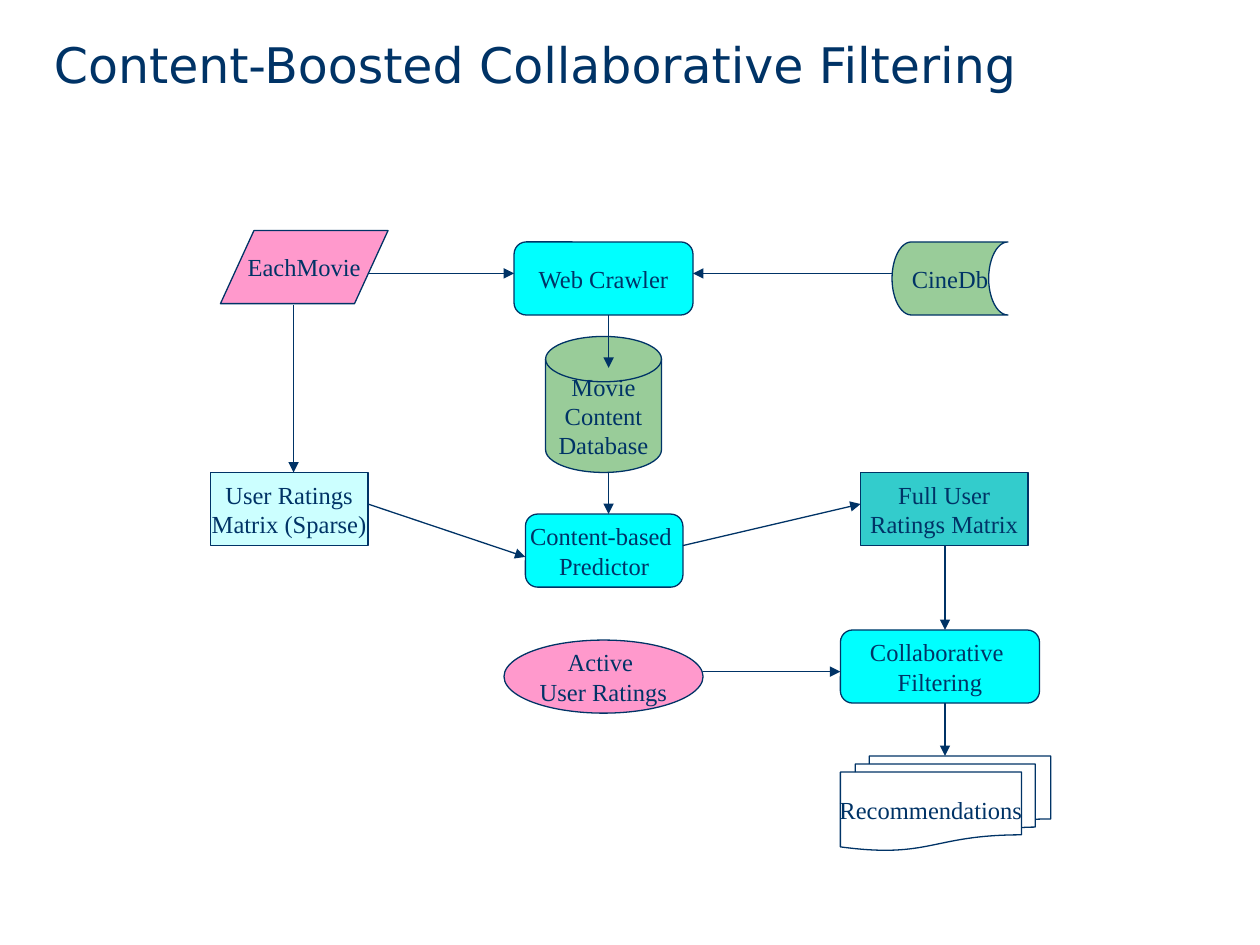
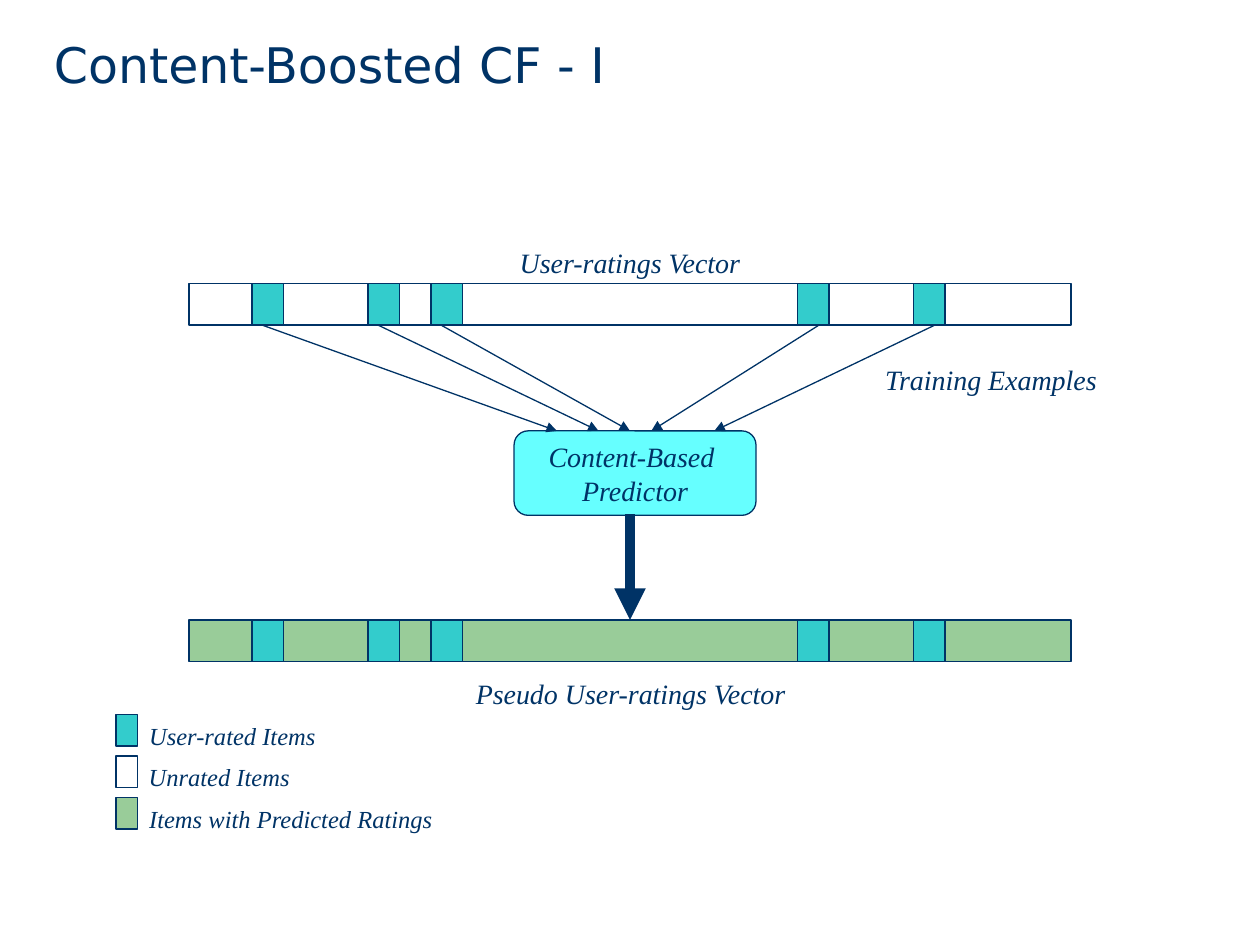
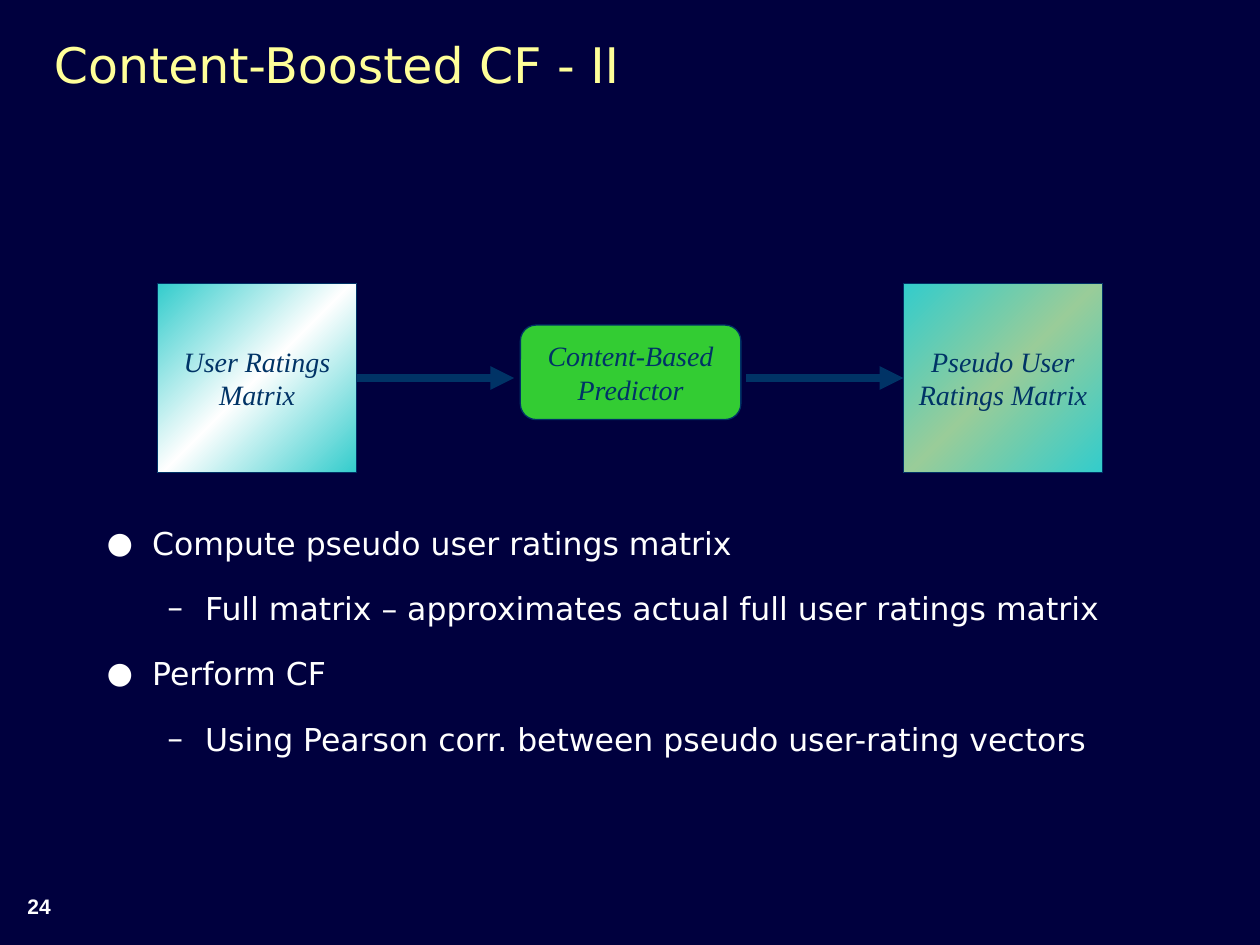
"""Build three slides on content-boosted collaborative filtering."""
from copy import deepcopy

from pptx import Presentation
from pptx.dml.color import RGBColor
from pptx.enum.shapes import MSO_CONNECTOR, MSO_SHAPE as SHAPE
from pptx.enum.text import MSO_ANCHOR as ANCHOR, PP_ALIGN as ALIGN
from pptx.oxml.ns import qn
from pptx.util import Inches, Pt

COLORS = {
    "navy": "003366", "night": "00003E", "white": "FFFFFF", "yellow": "FFFF99",
    "pink": "FF99CC", "aqua": "00FFFF", "light aqua": "66FFFF", "pale": "CCFFFF",
    "teal": "33CCCC", "sage": "99CC99", "green": "33CC33",
}
SANS, SERIF = "DejaVu Sans", "Times New Roman"
RATED_LEFTS = (2, 2.92, 3.42, 6.33, 7.25)


def rgb(name):
    """Return the named colour."""
    return RGBColor.from_string(COLORS[name])


def add_run(paragraph, text, size, font=SERIF, color="navy", italic=False, bold=False):
    """Add one formatted run to a paragraph."""
    run = paragraph.add_run()
    run.text = text
    run.font.name, run.font.size = font, Pt(size)
    run.font.italic, run.font.bold = italic, bold
    run.font.color.rgb = rgb(color)


def write_lines(frame, lines, size, align=ALIGN.CENTER, **style):
    """Fill a text frame with one paragraph per line."""
    for index, line in enumerate(lines):
        paragraph = frame.add_paragraph() if index else frame.paragraphs[0]
        paragraph.alignment = align
        add_run(paragraph, line, size, **style)


def add_text(slide, box, lines, size, anchor=ANCHOR.TOP, wrap=False, **style):
    """Add a text box and return its frame."""
    frame = slide.shapes.add_textbox(*map(Inches, box)).text_frame
    frame.word_wrap, frame.vertical_anchor = wrap, anchor
    write_lines(frame, lines, size, **style)
    return frame


def add_box(slide, kind, box, fill=None, lines=(), size=14, italic=False):
    """Add an outlined shape with centred lines of text."""
    shape = slide.shapes.add_shape(kind, *map(Inches, box))
    shape.shadow.inherit = False
    if fill:
        shape.fill.solid()
        shape.fill.fore_color.rgb = rgb(fill)
    else:
        shape.fill.background()
    shape.line.color.rgb, shape.line.width = rgb("navy"), Pt(0.75)
    frame = shape.text_frame
    frame.word_wrap, frame.vertical_anchor = False, ANCHOR.MIDDLE
    write_lines(frame, lines, size, italic=italic)
    return shape


def add_arrow(slide, start, end, width=0.75):
    """Add a straight line with an arrowhead at its end."""
    arrow = slide.shapes.add_connector(MSO_CONNECTOR.STRAIGHT, *map(Inches, start + end))
    arrow.line.color.rgb, arrow.line.width = rgb("navy"), Pt(width)
    properties = arrow._element.spPr
    line = properties.find(qn("a:ln"))
    line.append(line.makeelement(qn("a:tailEnd"), {"type": "triangle"}))
    properties.append(properties.makeelement(qn("a:effectLst"), {}))


def shade_diagonally(shape, edge, middle):
    """Fill a shape with a three-stop diagonal gradient."""
    shape.fill.gradient()
    shape.fill.gradient_angle = 315
    stop_list = shape._element.spPr.find(".//" + qn("a:gsLst"))
    stop_list.append(deepcopy(stop_list[-1]))
    for stop, color, position in zip(shape.fill.gradient_stops, (edge, middle, edge), (0, 0.5, 1)):
        stop.color.rgb, stop.position = rgb(color), position


def add_slide(presentation, title, background="white", title_color="navy"):
    """Add a blank slide with a background and a title."""
    slide = presentation.slides.add_slide(presentation.slide_layouts[6])
    slide.background.fill.solid()
    slide.background.fill.fore_color.rgb = rgb(background)
    frame = add_text(slide, (0.33, 0.08, 8.6, 0.92), [title], 28, ANCHOR.MIDDLE, True,
                     align=ALIGN.LEFT, font=SANS, color=title_color)
    frame.paragraphs[0].line_spacing = 0.9
    return slide


def set_bullet(paragraph, level):
    """Give a paragraph the bullet and indents of its level."""
    margin, hanging, mark, percent = ((0.36, 0.36, "●", 95), (0.78, 0.3, "–", 100))[level]
    properties = paragraph._p.get_or_add_pPr()
    properties.set("marL", str(Inches(margin)))
    properties.set("indent", str(-Inches(hanging)))
    color = properties.makeelement(qn("a:buClr"), {})
    color.append(color.makeelement(qn("a:srgbClr"), {"val": COLORS["white"]}))
    properties.append(color)
    for tag, key, value in (("a:buSzPct", "val", str(percent * 1000)),
                            ("a:buFont", "typeface", SANS), ("a:buChar", "char", mark)):
        properties.append(properties.makeelement(qn(tag), {key: value}))


def add_bullets(slide, box, items):
    """Add a two-level bullet list from (level, text) pairs."""
    frame = add_text(slide, box, [text for level, text in items], 18, wrap=True,
                     align=ALIGN.LEFT, font=SANS, color="white")
    for index, (paragraph, (level, text)) in enumerate(zip(frame.paragraphs, items)):
        set_bullet(paragraph, level)
        paragraph.level = level
        paragraph.line_spacing = 1.1
        if index:
            paragraph.space_before = Pt(13.5)


def add_ratings_vector(slide, top, fill):
    """Add a vector bar with its user-rated cells."""
    add_box(slide, SHAPE.RECTANGLE, (1.5, top, 7, 0.33), fill)
    for left in RATED_LEFTS:
        add_box(slide, SHAPE.RECTANGLE, (left, top, 0.25, 0.33), "teal")


def build_system_slide(presentation):
    """Draw the flow from the data sources to the recommendations."""
    slide = add_slide(presentation, "Content-Boosted Collaborative Filtering")
    rounded = SHAPE.ROUNDED_RECTANGLE
    for kind, box, fill, lines in (
        (SHAPE.FLOWCHART_STORED_DATA, (7.08, 1.92, 0.92, 0.58), "sage", ["CineDb"]),
        (SHAPE.FLOWCHART_DATA, (1.75, 1.83, 1.33, 0.58), "pink", ["EachMovie"]),
        (rounded, (4.08, 1.92, 1.42, 0.58), "aqua", ["Web Crawler"]),
        (SHAPE.FLOWCHART_MAGNETIC_DISK, (4.33, 2.67, 0.92, 1.08), "sage",
         ["Movie", "Content", "Database"]),
        (SHAPE.RECTANGLE, (6.83, 3.75, 1.33, 0.58), "teal", ["Full User", "Ratings Matrix"]),
        (rounded, (6.67, 5, 1.58, 0.58), "aqua", ["Collaborative ", "Filtering"]),
        (SHAPE.OVAL, (4, 5.08, 1.58, 0.58), "pink", ["Active ", "User Ratings"]),
        (SHAPE.RECTANGLE, (1.67, 3.75, 1.25, 0.58), "pale", ["User Ratings", "Matrix (Sparse)"]),
        (rounded, (4.17, 4.08, 1.25, 0.58), "aqua", ["Content-based ", "Predictor"]),
        (SHAPE.FLOWCHART_MULTIDOCUMENT, (6.67, 6, 1.67, 0.75), None, ["Recommendations"]),
    ):
        add_box(slide, kind, box, fill, lines)
    for start, end in (
        ((2.92, 2.17), (4.08, 2.17)), ((7.08, 2.17), (5.5, 2.17)),
        ((4.83, 2.5), (4.83, 2.92)), ((4.83, 3.75), (4.83, 4.08)),
        ((2.33, 2.42), (2.33, 3.75)), ((2.92, 4), (4.17, 4.42)),
        ((5.42, 4.33), (6.83, 4)), ((7.5, 4.33), (7.5, 5)),
        ((5.58, 5.33), (6.67, 5.33)), ((7.5, 5.58), (7.5, 6)),
    ):
        add_arrow(slide, start, end)


def build_vector_slide(presentation):
    """Draw how a ratings vector becomes a pseudo ratings vector."""
    slide = add_slide(presentation, "Content-Boosted CF - I")
    add_box(slide, SHAPE.ROUNDED_RECTANGLE, (4.08, 3.42, 1.92, 0.67), "light aqua",
            ["Content-Based ", "Predictor"], 16, True)
    for start, end in zip((2.08, 3, 3.5, 6.5, 7.42), (4.42, 4.75, 5, 5.17, 5.67)):
        add_arrow(slide, (start, 2.58), (end, 3.42))
    add_ratings_vector(slide, 2.25, "white")
    add_ratings_vector(slide, 4.92, "sage")
    add_arrow(slide, (5, 4.08), (5, 4.92), 6)
    for box, label in (
        ((4.01, 1.9, 1.98, 0.37), "User-ratings Vector"),
        ((6.92, 2.83, 1.89, 0.37), "Training Examples"),
        ((3.66, 5.32, 2.69, 0.37), "Pseudo User-ratings Vector"),
    ):
        add_text(slide, box, [label], 16, italic=True)
    for index, (fill, label, width) in enumerate((
        ("teal", "User-rated Items", 1.53), ("white", "Unrated Items", 1.32),
        ("sage", "Items with Predicted Ratings", 2.46),
    )):
        top = 5.67 + index * 0.33
        add_box(slide, SHAPE.RECTANGLE, (0.92, top, 0.17, 0.25), fill)
        add_text(slide, (1.08, top, width, 0.34), [label], 14, italic=True)


def build_matrix_slide(presentation):
    """Show the matrix step and the steps of the method."""
    slide = add_slide(presentation, "Content-Boosted CF - II", "night", "yellow")
    add_text(slide, (0.12, 7.04, 0.73, 0.3), ["24"], 12, ANCHOR.BOTTOM, True,
             align=ALIGN.LEFT, font="Arial", color="white", bold=True)
    add_bullets(slide, (0.75, 4.08, 8.75, 2.68), (
        (0, "Compute pseudo user ratings matrix"),
        (1, "Full matrix – approximates actual full user ratings matrix"),
        (0, "Perform CF"),
        (1, "Using Pearson corr. between pseudo user-rating vectors"),
    ))
    for left, middle, lines in ((1.25, "white", ["User Ratings", "Matrix"]),
                                (7.17, "sage", ["Pseudo User", "Ratings Matrix"])):
        matrix = add_box(slide, SHAPE.RECTANGLE, (left, 2.25, 1.58, 1.5), None, lines, 16, True)
        shade_diagonally(matrix, "teal", middle)
    add_box(slide, SHAPE.ROUNDED_RECTANGLE, (4.13, 2.58, 1.75, 0.75), "green",
            ["Content-Based", "Predictor"], 16, True)
    for left in (2.83, 5.92):
        add_arrow(slide, (left, 3), (left + 1.25, 3), 4.5)


def main():
    """Build and save the presentation."""
    presentation = Presentation()
    presentation.slide_width, presentation.slide_height = Inches(10), Inches(7.5)
    build_system_slide(presentation)
    build_vector_slide(presentation)
    build_matrix_slide(presentation)
    presentation.save("out.pptx")


if __name__ == "__main__":
    main()
